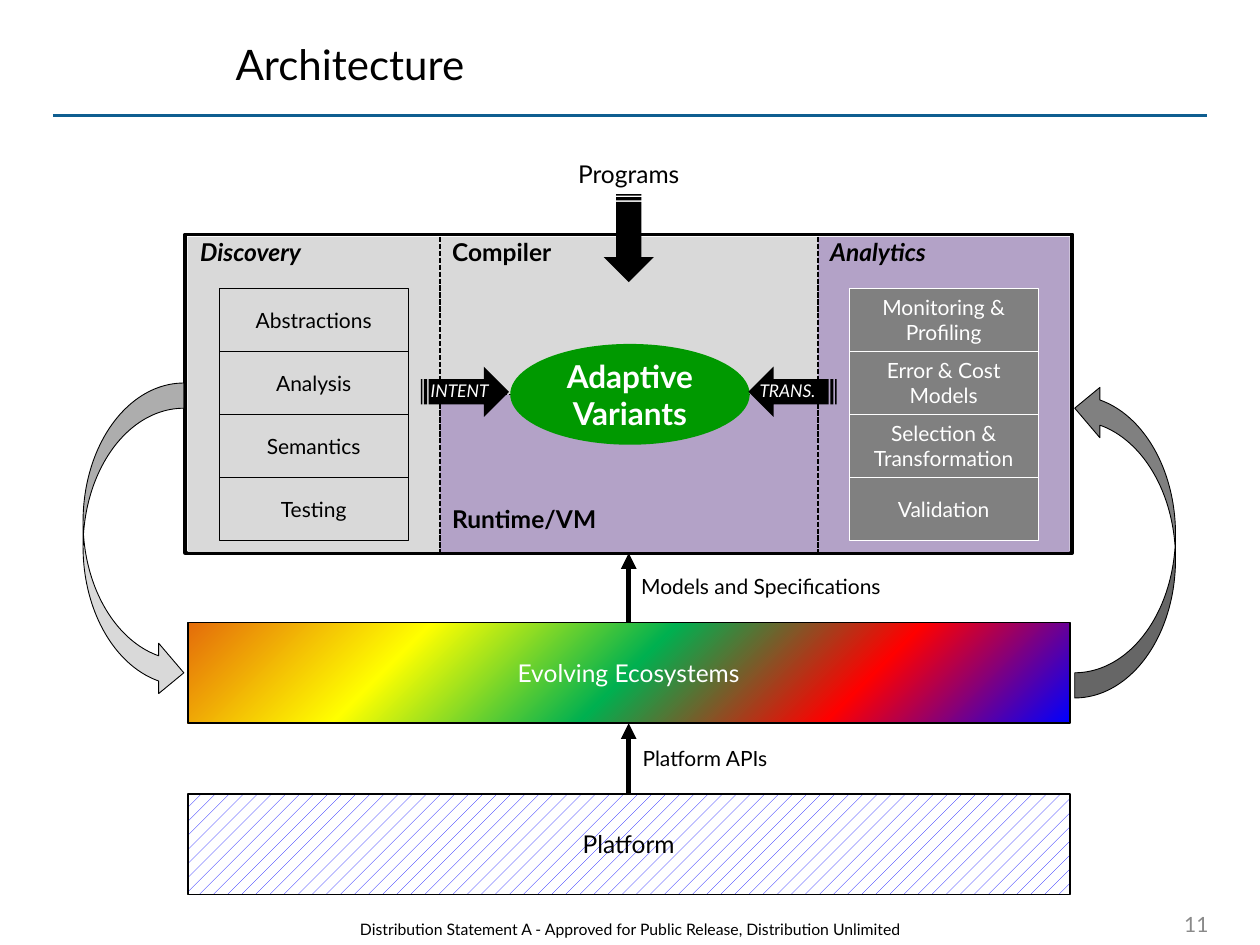
from dataclasses import dataclass
from typing import Optional

from lxml import etree
from pptx import Presentation
from pptx import util as u
from pptx.dml.color import RGBColor
from pptx.enum import dml, shapes, text
from pptx.oxml import ns

FONT = "Lato"
BLACK = RGBColor(0x00, 0x00, 0x00)
WHITE = RGBColor(0xFF, 0xFF, 0xFF)
RULE_BLUE = RGBColor(0x0F, 0x5E, 0x90)
NUMBER_GRAY = RGBColor(0x89, 0x89, 0x89)
LIGHT_GRAY = RGBColor(0xD9, 0xD9, 0xD9)
DARK_GRAY = RGBColor(0x80, 0x80, 0x80)
PURPLE = RGBColor(0xB3, 0xA2, 0xC7)
GREEN = RGBColor(0x00, 0x99, 0x00)
PURE_BLUE = RGBColor(0x00, 0x00, 0xFF)
SPECTRUM = [
    PURE_BLUE,
    RGBColor(0xFF, 0x00, 0x00),
    RGBColor(0x00, 0xB0, 0x50),
    RGBColor(0xFF, 0xFF, 0x00),
    RGBColor(0xE4, 0x6C, 0x0A),
]

KIND = shapes.MSO_SHAPE
ALIGN = text.PP_ALIGN
ANCHOR = text.MSO_ANCHOR
CENTER_X = 4.99
PANEL_TOP, PANEL_HEIGHT = 1.88, 2.5
MIDDLE_Y = PANEL_TOP + PANEL_HEIGHT / 2
STEP_TOP, STEP_HEIGHT = 2.29, 0.5


@dataclass
class Style:
    size: float
    color: RGBColor = BLACK
    bold: bool = False
    italic: bool = False
    align: ALIGN = ALIGN.CENTER
    anchor: ANCHOR = ANCHOR.MIDDLE


@dataclass
class Block:
    at: tuple
    fill: Optional[RGBColor]
    kind: KIND = KIND.RECTANGLE
    line: Optional[RGBColor] = None
    width: float = 0.5
    words: str = ""
    style: Optional[Style] = None
    flip: str = ""
    turn: float = 0


@dataclass
class Label:
    words: str
    at: tuple
    style: Style
    wrap: bool = False


def write(frame, words: str, style: Style) -> None:
    frame.text = words
    frame.vertical_anchor = style.anchor
    for para in frame.paragraphs:
        para.alignment = style.align
        for span in para.runs:
            span.font.name = FONT
            span.font.size = u.Pt(style.size)
            span.font.bold = style.bold
            span.font.italic = style.italic
            span.font.color.rgb = style.color


def draw_block(page, block: Block):
    box = page.shapes.add_shape(block.kind, *map(u.Inches, block.at))
    box.shadow.inherit = False
    box.rotation = block.turn
    if block.fill is not None:
        box.fill.solid()
        box.fill.fore_color.rgb = block.fill
    if block.line is None:
        box.line.fill.background()
    else:
        box.line.color.rgb = block.line
        box.line.width = u.Pt(block.width)
    if block.flip:
        box._element.spPr.find(ns.qn("a:xfrm")).set(block.flip, "1")
    if block.words:
        write(box.text_frame, block.words, block.style)
    return box


def draw_label(page, label: Label) -> None:
    box = page.shapes.add_textbox(*map(u.Inches, label.at))
    box.text_frame.word_wrap = label.wrap
    write(box.text_frame, label.words, label.style)


def draw_line(page, start: tuple, end: tuple, color: RGBColor, width: float,
              dashed: bool = False, arrow: bool = False):
    line = page.shapes.add_connector(
        shapes.MSO_CONNECTOR.STRAIGHT, *map(u.Inches, start + end))
    line.line.color.rgb = color
    line.line.width = u.Pt(width)
    if dashed:
        line.line.dash_style = dml.MSO_LINE.SQUARE_DOT
    properties = line._element.spPr
    if arrow:
        etree.SubElement(properties.find(ns.qn("a:ln")), ns.qn("a:tailEnd"), type="triangle")
    etree.SubElement(properties, ns.qn("a:effectLst"))
    return line


def fill_spectrum(box) -> None:
    box.fill.gradient()
    gradient = box._element.spPr.find(ns.qn("a:gradFill"))
    for child in list(gradient):
        gradient.remove(child)
    stops = etree.SubElement(gradient, ns.qn("a:gsLst"))
    for index, color in enumerate(SPECTRUM):
        stop = etree.SubElement(stops, ns.qn("a:gs"), pos=str(index * 25000))
        etree.SubElement(stop, ns.qn("a:srgbClr"), val=str(color))
    circle = etree.SubElement(gradient, ns.qn("a:path"))
    circle.set("path", "circle")
    etree.SubElement(circle, ns.qn("a:fillToRect"), l="100000", t="100000")


def draw_steps(page, left: float, names: list, fill: RGBColor, ink: RGBColor) -> None:
    for index, name in enumerate(names):
        top = STEP_TOP + index * STEP_HEIGHT
        draw_block(page, Block((left, top, 1.5, STEP_HEIGHT), fill, line=ink,
                               words=name, style=Style(12, ink)))


def draw_panel(page, at: tuple, fill: RGBColor, name: str, italic: bool = False,
               anchor: ANCHOR = ANCHOR.TOP):
    style = Style(14, bold=True, italic=italic, align=ALIGN.LEFT, anchor=anchor)
    panel = draw_block(page, Block(at, fill, words=name, style=style))
    panel.text_frame.margin_top = 0
    panel.text_frame.margin_bottom = u.Inches(0.15)
    return panel


def main() -> None:
    deck = Presentation()
    deck.slide_width, deck.slide_height = u.Inches(10), u.Inches(7.5)
    page = deck.slides.add_slide(deck.slide_layouts[5])

    draw_line(page, (0.42, 0.92), (9.58, 0.92), RULE_BLUE, 1.75)
    title = page.shapes.title
    title.left, title.top, title.width, title.height = map(u.Inches, (1.77, 0.17, 7.81, 0.67))
    write(title.text_frame, "Architecture", Style(24, align=ALIGN.LEFT))

    frame = draw_block(page, Block((1.47, 1.86, 7.04, 2.53), WHITE, line=BLACK, width=2))
    draw_panel(page, (1.49, PANEL_TOP, 2, PANEL_HEIGHT), LIGHT_GRAY, "Discovery", italic=True)
    compiler = draw_panel(page, (3.49, PANEL_TOP, 3, PANEL_HEIGHT), LIGHT_GRAY, "Compiler")
    draw_panel(page, (6.49, PANEL_TOP, 2, PANEL_HEIGHT), PURPLE, "Analytics", italic=True)
    draw_panel(page, (3.49, MIDDLE_Y, 3, PANEL_HEIGHT / 2), PURPLE, "Runtime/VM",
               anchor=ANCHOR.BOTTOM)

    draw_steps(page, 1.74, ["Abstractions", "Analysis", "Semantics", "Testing"],
               LIGHT_GRAY, BLACK)
    draw_steps(page, 6.74, ["Monitoring & Profiling", "Error & Cost Models",
                            "Selection & Transformation", "Validation"], DARK_GRAY, WHITE)

    platform = draw_block(page, Block((1.49, 6.3, 7, 0.8), None, line=BLACK, width=1,
                                      words="Platform", style=Style(14)))
    platform.fill.patterned()
    platform.fill.pattern = dml.MSO_PATTERN.PERCENT_10
    platform.fill.fore_color.rgb = PURE_BLUE
    platform.fill.back_color.rgb = WHITE
    ecosystems = draw_block(page, Block((1.49, 4.94, 7, 0.8), None, line=BLACK, width=1,
                                        words="Evolving Ecosystems", style=Style(14, WHITE)))
    fill_spectrum(ecosystems)

    for lower, upper, start, end in ((ecosystems, frame, 4.94, 4.39),
                                     (platform, ecosystems, 6.3, 5.74)):
        arrow = draw_line(page, (CENTER_X, start), (CENTER_X, end), BLACK, 3, arrow=True)
        arrow.begin_connect(lower, 0)
        arrow.end_connect(upper, 2)

    for x in (3.49, 6.49):
        draw_line(page, (x, PANEL_TOP), (x, PANEL_TOP + PANEL_HEIGHT), BLACK, 1, dashed=True)
    divider = draw_line(page, (3.49, MIDDLE_Y), (6.49, MIDDLE_Y), BLACK, 1, dashed=True)
    divider.begin_connect(compiler, 1)
    divider.end_connect(compiler, 3)

    for block in (
        Block((4.64, 1.69, 0.7, 0.4), BLACK, KIND.STRIPED_RIGHT_ARROW, turn=90),
        Block((8.53, 3.04, 0.8, 2.5), DARK_GRAY, KIND.CURVED_LEFT_ARROW, BLACK, flip="flipV"),
        Block((0.66, 3.04, 0.8, 2.5), LIGHT_GRAY, KIND.CURVED_LEFT_ARROW, BLACK, flip="flipH"),
        Block((4.05, 2.73, 1.9, 0.8), GREEN, KIND.OVAL, words="Adaptive\nVariants",
              style=Style(18, WHITE, bold=True)),
        Block((3.34, 2.91, 0.7, 0.4), BLACK, KIND.STRIPED_RIGHT_ARROW),
        Block((5.94, 2.91, 0.7, 0.4), BLACK, KIND.STRIPED_RIGHT_ARROW, flip="flipH"),
    ):
        draw_block(page, block)

    flow = Style(10, WHITE, italic=True, align=ALIGN.LEFT, anchor=ANCHOR.TOP)
    link = Style(12, anchor=ANCHOR.TOP)
    for label in (
        Label("Programs", (4.48, 1.21, 1.02, 0.34), Style(14, anchor=ANCHOR.TOP)),
        Label("Models and Specifications", (CENTER_X, 4.5, 2.1, 0.3), link),
        Label("Platform APIs", (CENTER_X, 5.87, 1.21, 0.3), link),
        Label("INTENT", (3.32, 2.97, 0.68, 0.27), flow),
        Label("TRANS.", (5.93, 2.97, 0.74, 0.28), flow),
        Label("Distribution Statement A - Approved for Public Release, Distribution Unlimited",
              (2.73, 7.25, 4.54, 0.25), Style(9, anchor=ANCHOR.TOP), wrap=True),
        Label("11", (8.86, 7.17, 0.83, 0.32), Style(12, NUMBER_GRAY, align=ALIGN.RIGHT), wrap=True),
    ):
        draw_label(page, label)

    deck.save("out.pptx")


if __name__ == "__main__":
    main()
